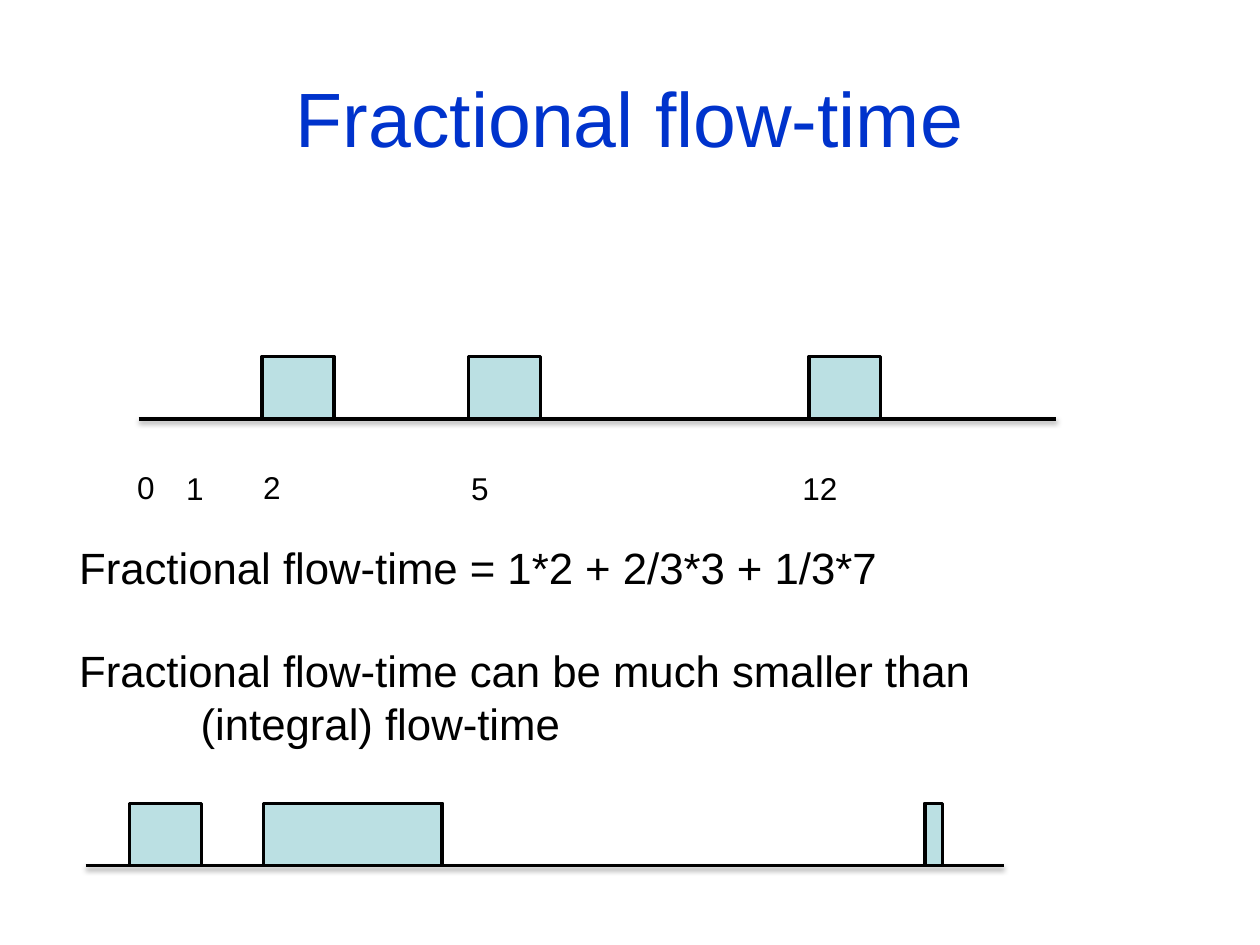
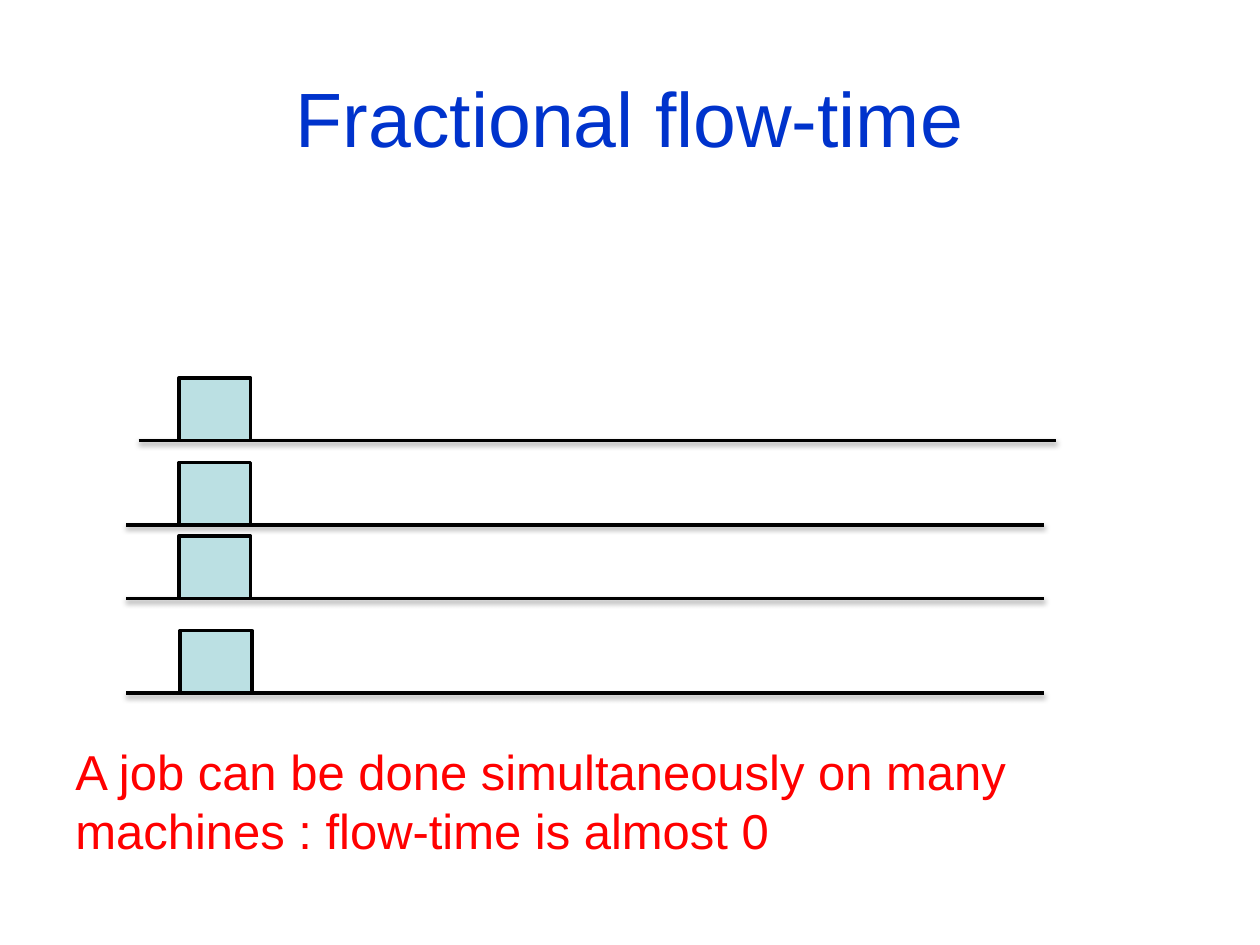
"""Build two slides on fractional flow-time, with jobs drawn on machine timelines."""
from dataclasses import dataclass

from lxml.etree import SubElement
from pptx import Presentation
from pptx.dml.color import RGBColor
from pptx.enum.shapes import MSO_CONNECTOR, MSO_SHAPE
from pptx.enum.text import MSO_ANCHOR, MSO_AUTO_SIZE, PP_ALIGN
from pptx.oxml.ns import qn
from pptx.util import Inches, Pt


@dataclass(frozen=True)
class Theme:
    font: str = "Arial"
    title_color: RGBColor = RGBColor(0x00, 0x33, 0xCC)
    ink: RGBColor = RGBColor(0x00, 0x00, 0x00)
    job_fill: RGBColor = RGBColor(0xBB, 0xE0, 0xE3)
    accent: RGBColor = RGBColor(0xFF, 0x00, 0x00)
    title_size: float = 44
    remark_size: float = 28
    body_size: float = 25
    label_size: float = 18
    line_width: float = 2


THEME = Theme()
COLUMNS, ROWS = 100, 75
JOB_WIDTH, JOB_HEIGHT = 5.7, 4.95
AXIS_LENGTH = 72.85
LABEL_PADDING, DIGIT_WIDTH, LABEL_HEIGHT = 2.2, 1.4, 3.9
LINE_HEIGHT = 1.15

SLIDES = [
    {
        "title": "Fractional flow-time",
        "timelines": [
            {"left": 11, "base": 33.25,
             "jobs": [(20.8, JOB_WIDTH), (37.2, JOB_WIDTH), (64.2, JOB_WIDTH)]},
            {"left": 6.8, "base": 68.7,
             "jobs": [(10.3, JOB_WIDTH), (20.9, 14.2), (73.4, 1.4)]},
        ],
        "labels": [("0", 9.9, 36.65), ("1", 13.8, 36.75), ("2", 19.9, 36.65),
                   ("5", 36.4, 36.75), ("12", 62.7, 36.75)],
        "text": {
            "area": (5.3, 42.45, 74.3, 17.7), "wrap": False,
            "size": THEME.body_size, "color": THEME.ink,
            "lines": [("Fractional flow-time = 1*2 + 2/3*3 + 1/3*7", 0, 0),
                      ("Fractional flow-time can be much smaller than", 1, 0),
                      ("(integral) flow-time", 0, 9.65)],
        },
    },
    {
        "title": "Fractional flow-time",
        "timelines": [
            {"left": 11, "base": 34.95, "jobs": [(14.2, JOB_WIDTH)]},
            {"left": 10, "base": 41.65, "jobs": [(14.2, JOB_WIDTH)]},
            {"left": 10, "base": 47.5, "jobs": [(14.2, JOB_WIDTH)]},
            {"left": 10, "base": 55, "jobs": [(14.3, JOB_WIDTH)]},
        ],
        "labels": [],
        "text": {
            "area": (5, 58.35, 84.2, 10.4), "wrap": True,
            "size": THEME.remark_size, "color": THEME.accent,
            "lines": [("A job can be done simultaneously on many machines : "
                       "flow-time is almost 0", 0, 0)],
        },
    },
]

deck = Presentation()
deck.slide_width, deck.slide_height = Inches(10), Inches(7.5)


def across(columns):
    return round(deck.slide_width * columns / COLUMNS)


def down(rows):
    return round(deck.slide_height * rows / ROWS)


def place(left, top, width, height):
    return across(left), down(top), across(width), down(height)


def write(para, text, size, color):
    span = para.add_run()
    span.text = text
    span.font.name = THEME.font
    span.font.size = Pt(size)
    span.font.color.rgb = color


def add_title(page, text):
    box = page.shapes.title
    box.left, box.top, box.width, box.height = place(5, 3, 90, 12.5)
    box.text_frame.auto_size = MSO_AUTO_SIZE.NONE
    box.text_frame.vertical_anchor = MSO_ANCHOR.MIDDLE
    para = box.text_frame.paragraphs[0]
    para.alignment = PP_ALIGN.CENTER
    write(para, text, THEME.title_size, THEME.title_color)


def add_axis(page, left, base):
    axis = page.shapes.add_connector(
        MSO_CONNECTOR.STRAIGHT, across(left), down(base),
        across(left + AXIS_LENGTH), down(base))
    axis.line.color.rgb = THEME.ink
    axis.line.width = Pt(THEME.line_width)
    effects = SubElement(axis._element.spPr, qn("a:effectLst"))
    shadow = SubElement(effects, qn("a:outerShdw"), blurRad="40000",
                        dist="20000", dir="5400000", rotWithShape="0")
    tone = SubElement(shadow, qn("a:srgbClr"), val=str(THEME.ink))
    SubElement(tone, qn("a:alpha"), val="38000")


def add_job(page, left, width, base):
    job = page.shapes.add_shape(
        MSO_SHAPE.RECTANGLE, *place(left, base - JOB_HEIGHT, width, JOB_HEIGHT))
    job.shadow.inherit = False
    job.fill.solid()
    job.fill.fore_color.rgb = THEME.job_fill
    job.line.color.rgb = THEME.ink
    job.line.width = Pt(THEME.line_width)


def add_text(page, area, lines, size, color, wrap=False):
    frame = page.shapes.add_textbox(*place(*area)).text_frame
    frame.word_wrap = wrap
    frame.auto_size = MSO_AUTO_SIZE.SHAPE_TO_FIT_TEXT
    for index, (text, gap_lines, indent) in enumerate(lines):
        para = frame.add_paragraph() if index else frame.paragraphs[0]
        para.space_before = Pt(gap_lines * size * LINE_HEIGHT)
        if indent:
            properties = para._p.get_or_add_pPr()
            properties.set("marL", str(across(indent)))
            properties.set("indent", "0")
        write(para, text, size, color)


for content in SLIDES:
    page = deck.slides.add_slide(deck.slide_layouts[5])
    add_title(page, content["title"])
    for timeline in content["timelines"]:
        add_axis(page, timeline["left"], timeline["base"])
        for left, width in timeline["jobs"]:
            add_job(page, left, width, timeline["base"])
    for text, left, top in content["labels"]:
        width = LABEL_PADDING + DIGIT_WIDTH * len(text)
        add_text(page, (left, top, width, LABEL_HEIGHT), [(text, 0, 0)],
                 THEME.label_size, THEME.ink)
    add_text(page, **content["text"])

deck.save("out.pptx")
